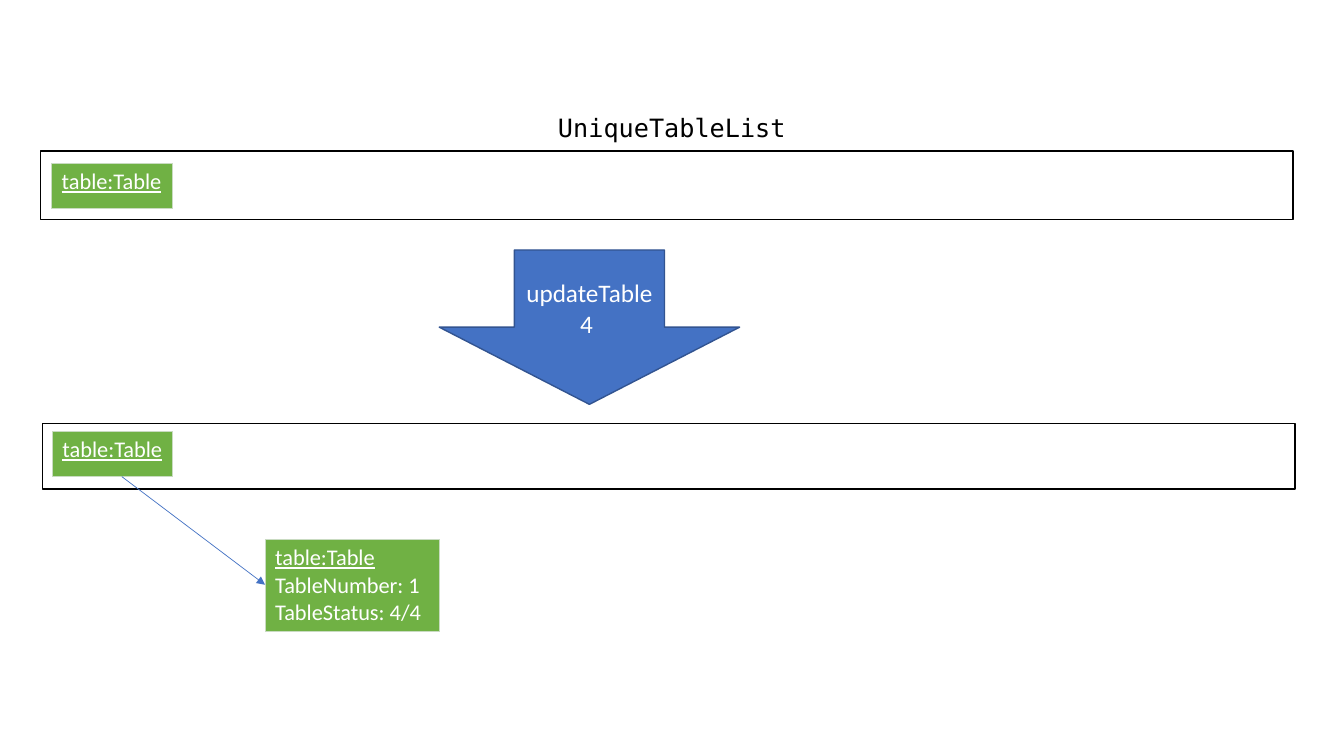
from dataclasses import dataclass

from lxml import etree
from pptx import Presentation, util as u
from pptx.dml.color import RGBColor
from pptx.enum import shapes, text
from pptx.oxml import ns
from pptx.util import Cm


@dataclass(frozen=True)
class Theme:
    """Colours, fonts and sizes of the slide."""
    ink: RGBColor = RGBColor(0x00, 0x00, 0x00)
    white: RGBColor = RGBColor(0xFF, 0xFF, 0xFF)
    blue: RGBColor = RGBColor(0x44, 0x72, 0xC4)
    navy: RGBColor = RGBColor(0x32, 0x54, 0x91)
    green: RGBColor = RGBColor(0x70, 0xB1, 0x44)
    pale: RGBColor = RGBColor(0xC9, 0xDB, 0xC1)
    sans: str = "Calibri"
    mono: str = "DejaVu Sans Mono"
    large: u.Pt = u.Pt(18)
    small: u.Pt = u.Pt(16)
    edge: u.Pt = u.Pt(1)
    thin: u.Pt = u.Pt(0.5)


@dataclass(frozen=True)
class Box:
    """A place on the slide, in centimetres."""
    left: float
    top: float
    width: float
    height: float

    def place(self) -> tuple:
        """Give the place as lengths."""
        return Cm(self.left), Cm(self.top), Cm(self.width), Cm(self.height)


@dataclass(frozen=True)
class Card:
    """A green object card: underlined name, then its fields."""
    box: Box
    lines: tuple = ("table:Table",)


THEME = Theme()
TITLE = Box(12.47, 2.69, 8.92, 1.02)
LISTS = (Box(1.02, 3.81, 31.57, 1.73), Box(1.07, 10.67, 31.57, 1.65))
UPDATE = Box(11.07, 6.3, 7.57, 3.89)
BEFORE = Card(Box(1.3, 4.11, 3.03, 1.14))
AFTER = Card(Box(1.32, 10.87, 3.03, 1.14))
DETAIL = Card(Box(6.68, 13.59, 4.4, 2.29),
              ("table:Table", "TableNumber: 1", "TableStatus: 4/4"))


def style(font, size: u.Pt, name: str, color: RGBColor) -> None:
    """Set the look of a font."""
    font.size, font.name, font.bold = size, name, False
    font.color.rgb = color


def add_title(slide, box: Box, words: str) -> None:
    """Move and format the title placeholder."""
    title = slide.shapes.title
    title.left, title.top, title.width, title.height = box.place()
    frame = title.text_frame
    frame.text = words
    frame.auto_size = text.MSO_AUTO_SIZE.NONE
    frame.vertical_anchor = text.MSO_ANCHOR.MIDDLE
    para = frame.paragraphs[0]
    para.alignment = text.PP_ALIGN.CENTER
    style(para.font, THEME.large, THEME.mono, THEME.ink)


def add_list(slide, box: Box) -> None:
    """Draw the empty frame of a list."""
    frame = slide.shapes.add_shape(shapes.MSO_SHAPE.RECTANGLE, *box.place())
    frame.shadow.inherit = False
    frame.fill.background()
    frame.line.color.rgb = THEME.ink
    frame.line.width = THEME.edge


def add_update(slide, box: Box, words: str) -> None:
    """Draw the block arrow with its label."""
    arrow = slide.shapes.add_shape(shapes.MSO_SHAPE.DOWN_ARROW, *box.place())
    arrow.shadow.inherit = False
    arrow.fill.solid()
    arrow.fill.fore_color.rgb = THEME.blue
    arrow.line.color.rgb = THEME.navy
    arrow.line.width = THEME.edge
    frame = arrow.text_frame
    frame.text = words
    frame.word_wrap = True
    frame.vertical_anchor = text.MSO_ANCHOR.MIDDLE
    para = frame.paragraphs[0]
    para.alignment = text.PP_ALIGN.CENTER
    style(para.font, THEME.large, THEME.sans, THEME.white)


def add_borders(cell) -> None:
    """Put a thin pale line on each side of a cell."""
    props = cell._tc.get_or_add_tcPr()
    for spot, side in enumerate("LRTB"):
        line = etree.Element(ns.qn(f"a:ln{side}"), w=str(THEME.thin))
        fill = etree.SubElement(line, ns.qn("a:solidFill"))
        etree.SubElement(fill, ns.qn("a:srgbClr"), val=str(THEME.pale))
        props.insert(spot, line)


def add_card(slide, card: Card) -> None:
    """Draw a card as a table of one cell."""
    table = slide.shapes.add_table(1, 1, *card.box.place()).table
    table.first_row = table.horz_banding = False
    cell = table.cell(0, 0)
    cell.fill.solid()
    cell.fill.fore_color.rgb = THEME.green
    cell.margin_right = Cm(0.2)
    add_borders(cell)
    cell.text = "\n".join(card.lines)
    for row, para in enumerate(cell.text_frame.paragraphs):
        style(para.font, THEME.small, THEME.sans, THEME.white)
        para.font.underline = row == 0


def add_link(slide, start: Box, end: Box) -> None:
    """Draw an arrow from below one card to the left side of another."""
    link = slide.shapes.add_connector(
        shapes.MSO_CONNECTOR.STRAIGHT,
        Cm(start.left + 1.75), Cm(start.top + start.height),
        Cm(end.left), Cm(end.top + end.height / 2))
    link.line.color.rgb = THEME.blue
    link.line.width = THEME.thin
    etree.SubElement(link.line._get_or_add_ln(), ns.qn("a:tailEnd"),
                     type="triangle")
    etree.SubElement(link._element.spPr, ns.qn("a:effectLst"))


def main() -> None:
    """Build the slide and save it."""
    deck = Presentation()
    deck.slide_width, deck.slide_height = Cm(33.87), Cm(19.05)
    slide = deck.slides.add_slide(deck.slide_layouts.get_by_name("Title Only"))
    for box in LISTS:
        add_list(slide, box)
    add_title(slide, TITLE, "UniqueTableList")
    for card in (AFTER, DETAIL):
        add_card(slide, card)
    add_link(slide, AFTER.box, DETAIL.box)
    add_update(slide, UPDATE, "updateTable 4 ")
    add_card(slide, BEFORE)
    deck.save("out.pptx")


main()
